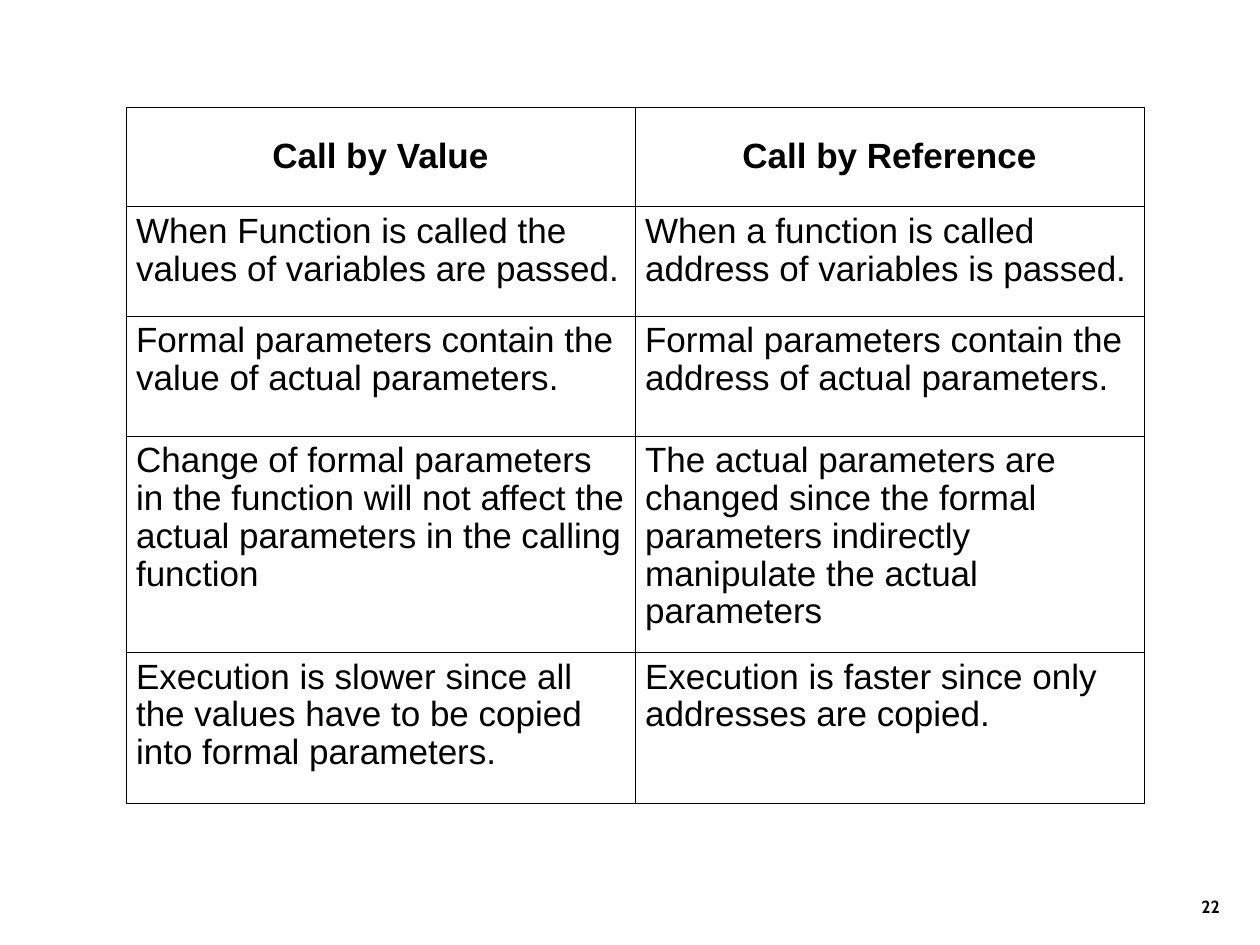
import pptx
import pptx.dml.color
import pptx.enum.text
import pptx.oxml
import pptx.oxml.ns
import pptx.util
from pptx.util import Inches

COLORS = {"ink": "000000", "paper": "FFFFFF"}
HEADINGS = ("Call by Value", "Call by Reference")
COMPARISONS = [
    ("When Function is called the values of variables are passed.",
     "When a function is called address of variables is passed."),
    ("Formal parameters contain the value of actual parameters.",
     "Formal parameters contain the address of actual parameters."),
    ("Change of formal parameters in the function will not affect the "
     "actual parameters in the calling function",
     "The actual parameters are changed since the formal parameters "
     "indirectly manipulate the actual parameters"),
    ("Execution is slower since all the values have to be copied into "
     "formal parameters.",
     "Execution is faster since only addresses are copied."),
]
ROW_HEIGHTS = (0.79, 0.87, 0.95, 1.67, 1.2)
COLUMN_WIDTH = 4.04
BORDER_WIDTH = 0.45
SLIDE_NUMBER = "22"

ALIGN = pptx.enum.text.PP_ALIGN
ANCHOR = pptx.enum.text.MSO_ANCHOR


def add_text(paragraph, text, font_name, size, bold, alignment):
    paragraph.alignment = alignment
    run = paragraph.add_run()
    run.text = text
    run.font.name = font_name
    run.font.size = pptx.util.Pt(size)
    run.font.bold = bold
    run.font.color.rgb = pptx.dml.color.RGBColor.from_string(COLORS["ink"])


def add_borders(cell):
    properties = cell._tc.get_or_add_tcPr()
    width = pptx.util.Pt(BORDER_WIDTH)
    for position, side in enumerate(("lnL", "lnR", "lnT", "lnB")):
        line = pptx.oxml.parse_xml(
            f'<a:{side} {pptx.oxml.ns.nsdecls("a")} w="{width}"><a:solidFill>'
            f'<a:srgbClr val="{COLORS["ink"]}"/></a:solidFill></a:{side}>')
        properties.insert(position, line)


presentation = pptx.Presentation()
presentation.slide_width, presentation.slide_height = Inches(10), Inches(7.5)
slide = presentation.slides.add_slide(presentation.slide_layouts[6])
slide.background.fill.solid()
slide.background.fill.fore_color.rgb = pptx.dml.color.RGBColor.from_string(COLORS["paper"])

# Slide number
number_box = slide.shapes.add_textbox(Inches(7.7), Inches(6.83), Inches(2.08), Inches(0.5))
number_box.text_frame.word_wrap = True
number_box.text_frame.vertical_anchor = ANCHOR.BOTTOM
add_text(number_box.text_frame.paragraphs[0], SLIDE_NUMBER, "Cabin", 10, True, ALIGN.RIGHT)

# Comparison table
rows = [HEADINGS] + COMPARISONS
table = slide.shapes.add_table(
    len(rows), len(HEADINGS), Inches(1), Inches(0.85),
    Inches(COLUMN_WIDTH * len(HEADINGS)), Inches(sum(ROW_HEIGHTS))).table
table.first_row = table.horz_banding = False
for column in table.columns:
    column.width = Inches(COLUMN_WIDTH)

for row_index, (texts, height) in enumerate(zip(rows, ROW_HEIGHTS)):
    table.rows[row_index].height = Inches(height)
    is_heading = row_index == 0
    for column_index, text in enumerate(texts):
        cell = table.cell(row_index, column_index)
        cell.fill.background()
        cell.margin_left = cell.margin_right = Inches(0.08)
        cell.margin_top = cell.margin_bottom = Inches(0.05)
        cell.vertical_anchor = ANCHOR.MIDDLE if is_heading else ANCHOR.TOP
        paragraph = cell.text_frame.paragraphs[0]
        paragraph.line_spacing = 0.97
        add_text(paragraph, text, "Arial", 20, is_heading,
                 ALIGN.CENTER if is_heading else ALIGN.LEFT)
        add_borders(cell)

presentation.save("out.pptx")
